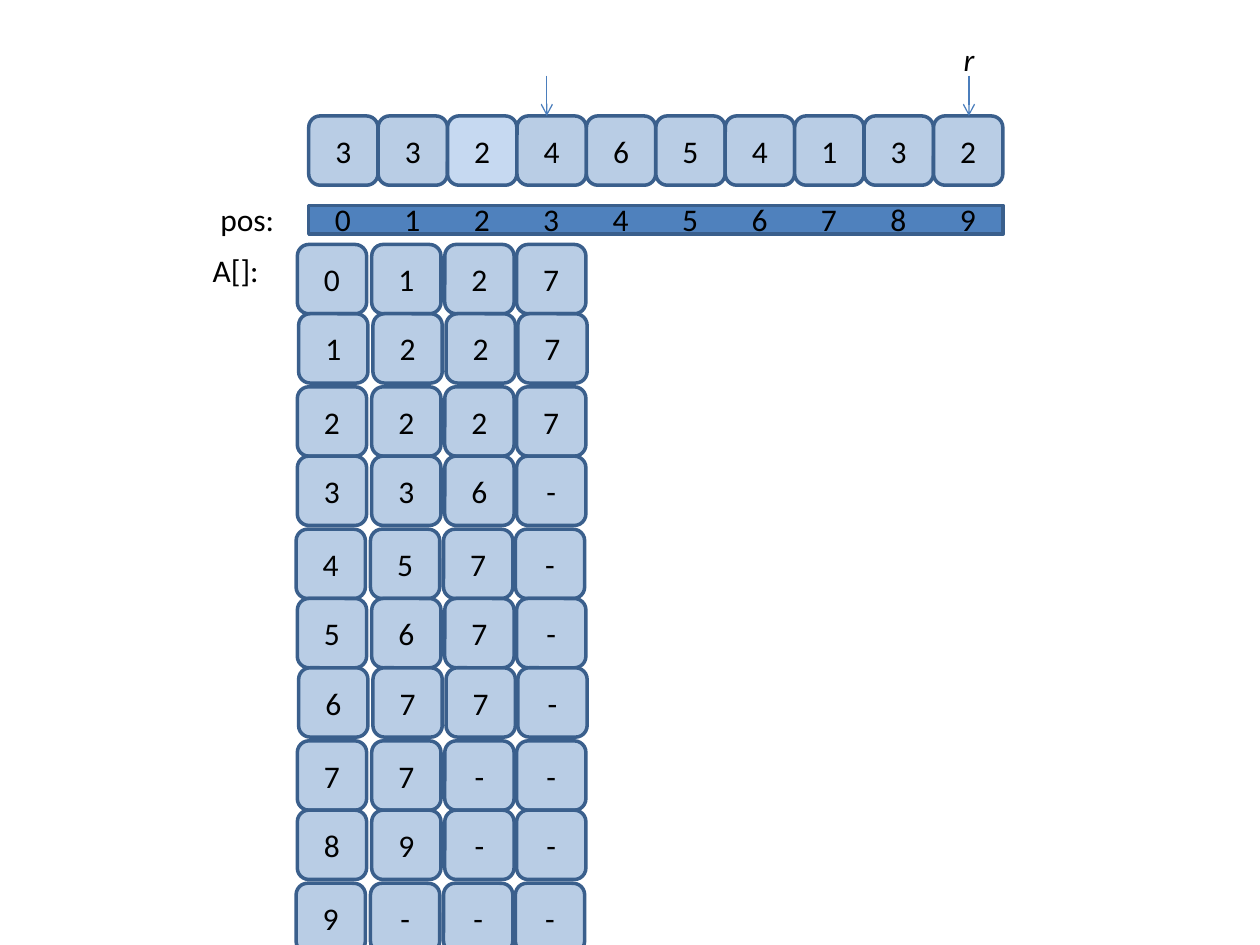
"""Build the counting sort slide with its array, positions and tables."""
import pptx
import pptx.util
import pptx.dml.color
import pptx.enum.shapes
import pptx.enum.text
import pptx.oxml
import pptx.oxml.ns

Inches, Pt = pptx.util.Inches, pptx.util.Pt
RGBColor = pptx.dml.color.RGBColor
SHAPE = pptx.enum.shapes.MSO_SHAPE

CELL_FILL = RGBColor(0xB9, 0xCD, 0xE5)
MARKED_FILL = RGBColor(0xC6, 0xD9, 0xF1)
BAR_FILL = RGBColor(0x4F, 0x81, 0xBD)
OUTLINE = RGBColor(0x3A, 0x5F, 0x8C)
ARROW = RGBColor(0x4B, 0x7E, 0xBC)
BLACK = RGBColor(0, 0, 0)

SIDE = 0.55
ARRAY = "3324654132"
ARRAY_LEFT, ARRAY_TOP, ARRAY_WIDTH = 2.45, 0.92, 5.51
PITCH = ARRAY_WIDTH / len(ARRAY)
MARKED = 2
POS_TOP, LABEL_HEIGHT = 1.54, 0.4

TABLE_LEFT, TABLE_TOP = 2.36, 1.94
COLUMNS = (0, 0.59, 1.17, 1.74)
ROWS = ("0127", "1227", "2227", "336-", "457-",
        "567-", "677-", "77--", "89--", "9---")
GAP, ROWS_AFTER_GAP = 0.03, (2, 4, 7, 9)
NUDGES = {1: 0.01, 4: -0.01, 6: 0.01, 9: -0.01}


def format_text(tf, italic=False):
    """Apply the common font to every run of a text frame."""
    for p in tf.paragraphs:
        for r in p.runs:
            r.font.name = "Calibri"
            r.font.size = Pt(18)
            r.font.italic = italic
            r.font.color.rgb = BLACK


def add_box(s, kind, left, top, width, height, fill):
    """Add a filled and outlined shape."""
    sp = s.shapes.add_shape(kind, Inches(left), Inches(top), Inches(width), Inches(height))
    sp.shadow.inherit = False
    sp.fill.solid()
    sp.fill.fore_color.rgb = fill
    sp.line.color.rgb = OUTLINE
    sp.line.width = Pt(2)
    return sp


def add_cell(s, left, top, text, fill=CELL_FILL):
    """Add a rounded square holding one centred value."""
    sp = add_box(s, SHAPE.ROUNDED_RECTANGLE, left, top, SIDE, SIDE, fill)
    tf = sp.text_frame
    tf.text = text
    tf.vertical_anchor = pptx.enum.text.MSO_ANCHOR.MIDDLE
    tf.paragraphs[0].alignment = pptx.enum.text.PP_ALIGN.CENTER
    format_text(tf)


def add_label(s, left, top, width, text, italic=False):
    """Add a text box that fits its text."""
    sp = s.shapes.add_textbox(Inches(left), Inches(top), Inches(width), Inches(LABEL_HEIGHT))
    tf = sp.text_frame
    tf.word_wrap = False
    tf.auto_size = pptx.enum.text.MSO_AUTO_SIZE.SHAPE_TO_FIT_TEXT
    tf.text = text
    format_text(tf, italic)


def add_arrow(s, x):
    """Add an arrow pointing down at the array."""
    sp = s.shapes.add_connector(pptx.enum.shapes.MSO_CONNECTOR.STRAIGHT,
                                Inches(x), Inches(0.6), Inches(x), Inches(ARRAY_TOP))
    sp.line.color.rgb = ARROW
    sp.line.width = Pt(0.75)
    tail = pptx.oxml.parse_xml(
        '<a:tailEnd %s type="arrow"/>' % pptx.oxml.ns.nsdecls("a"))
    sp.line._get_or_add_ln().append(tail)
    effects = pptx.oxml.parse_xml('<a:effectLst %s/>' % pptx.oxml.ns.nsdecls("a"))
    sp._element.spPr.append(effects)


def add_array(s):
    """Add the input array with its arrows."""
    for i, value in enumerate(ARRAY):
        fill = MARKED_FILL if i == MARKED else CELL_FILL
        add_cell(s, ARRAY_LEFT + i * PITCH, ARRAY_TOP, value, fill)
    for x in (4.34, 7.69):
        add_arrow(s, x)
    add_label(s, 7.55, 0.27, 0.29, "r", italic=True)


def add_positions(s):
    """Add the bar of array positions."""
    add_box(s, SHAPE.RECTANGLE, ARRAY_LEFT, 1.63, ARRAY_WIDTH, 0.23, BAR_FILL)
    width = 0.33
    for i in range(len(ARRAY)):
        left = ARRAY_LEFT + (i + 0.5) * PITCH - width / 2
        add_label(s, left, POS_TOP, width, str(i))
    add_label(s, 1.65, POS_TOP, 0.63, "pos:")


def add_table_cells(s):
    """Add the grid of values under the positions."""
    top = TABLE_TOP
    for i, row in enumerate(ROWS):
        if i in ROWS_AFTER_GAP:
            top += GAP
        for offset, value in zip(COLUMNS, row):
            add_cell(s, TABLE_LEFT + NUDGES.get(i, 0) + offset, top, value)
        top += SIDE
    add_label(s, 1.59, TABLE_TOP, 0.57, "A[]:")


def main():
    """Build and save the slide."""
    prs = pptx.Presentation()
    prs.slide_width, prs.slide_height = Inches(10), Inches(7.5)
    s = prs.slides.add_slide(prs.slide_layouts[6])
    add_array(s)
    add_positions(s)
    add_table_cells(s)
    prs.save("out.pptx")


main()
